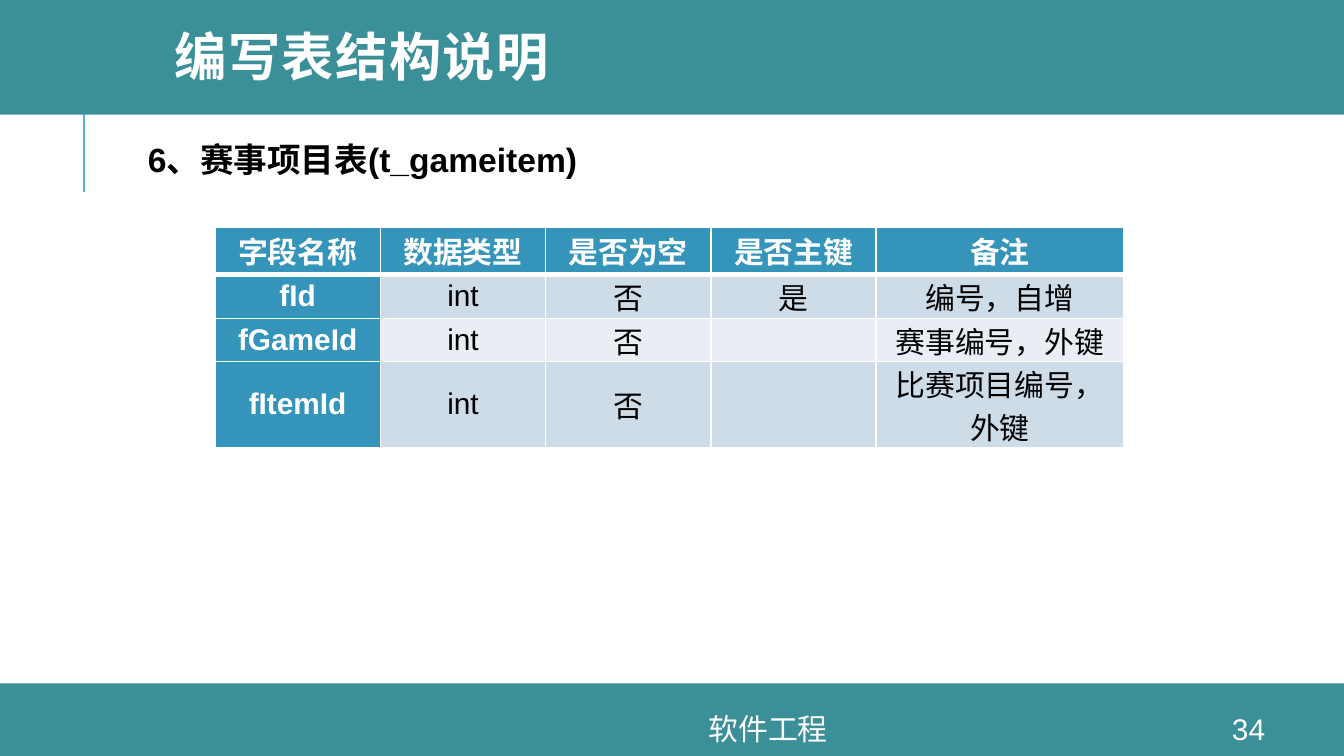
from dataclasses import dataclass

import pptx
import pptx.dml.color
import pptx.enum.shapes
import pptx.enum.text
import pptx.oxml
import pptx.oxml.ns
import pptx.util

RGBColor = pptx.dml.color.RGBColor
Align = pptx.enum.text.PP_ALIGN
Middle = pptx.enum.text.MSO_ANCHOR.MIDDLE

WHITE = RGBColor(0xFF, 0xFF, 0xFF)
BLACK = RGBColor(0x00, 0x00, 0x00)
TEAL = RGBColor(0x3A, 0x8F, 0x98)
LIGHT_TEAL = RGBColor(0x58, 0xB6, 0xC0)
HEADER_BLUE = RGBColor(0x34, 0x94, 0xBA)
BAND_COLORS = (RGBColor(0xCE, 0xDC, 0xE7), RGBColor(0xE8, 0xEE, 0xF3))

FONT = "Arial"
SLIDE_COLUMNS = 100
SLIDE_WIDTH = pptx.util.Inches(10)
SLIDE_HEIGHT = SLIDE_WIDTH * 9 // 16

COLUMN_WIDTHS = (12.3, 12.3, 12.3, 12.3, 18.4)
ROW_HEIGHTS = (3.5, 3.3, 3, 3.3)
FIELDS = (
    ("字段名称", "数据类型", "是否为空", "是否主键", "备注"),
    ("fId", "int", "否", "是", "编号，自增"),
    ("fGameId", "int", "否", "", "赛事编号，外键"),
    ("fItemId", "int", "否", "", "比赛项目编号，外键"),
)


def grid(units: float) -> int:
    """Length of square grid units, a hundred of which span the slide."""
    return round(units * SLIDE_WIDTH / SLIDE_COLUMNS)


@dataclass(frozen=True)
class Area:
    left: float
    top: float
    width: float
    height: float

    def lengths(self) -> tuple[int, ...]:
        return tuple(map(grid, (self.left, self.top, self.width, self.height)))


@dataclass(frozen=True)
class Label:
    text: str
    area: Area
    size: float
    color: RGBColor = WHITE
    bold: bool = False
    align: Align = Align.LEFT
    wrap: bool = True
    margins: tuple[float, float] = (1, 0.5)
    line_spacing: float = 1
    letter_spacing: float = 0


BANDS = (Area(0, 50.85, 100, 5.4), Area(0, -0.3, 100, 8.83))
LABELS = (
    Label("6、赛事项目表(t_gameitem)", Area(10.25, 9.95, 35.2, 3.8), 18, BLACK,
          bold=True, wrap=False, margins=(0.75, 0.38)),
    Label("编写表结构说明", Area(12, 0, 84.9, 9.1), 28, bold=True,
          line_spacing=0.8, letter_spacing=0.8),
    Label("34", Area(88.9, 53.1, 8, 2.3), 16, align=Align.CENTER),
    Label("软件工程", Area(26.1, 53.1, 62.1, 2.3), 16, align=Align.CENTER),
)


def style_text(para, size: float, color: RGBColor, bold: bool, align: Align) -> None:
    para.alignment = align
    for span in para.runs:
        span.font.name = FONT
        span.font.size = pptx.util.Pt(size)
        span.font.bold = bold
        span.font.color.rgb = color


def add_rule(slide) -> None:
    rule = slide.shapes.add_connector(
        pptx.enum.shapes.MSO_CONNECTOR.STRAIGHT,
        grid(6.25), grid(14.3), grid(6.25), grid(6.8))
    rule.line.color.rgb = LIGHT_TEAL
    rule.line.width = pptx.util.Pt(1.5)
    properties = rule.element.find(pptx.oxml.ns.qn("p:spPr"))
    properties.append(pptx.oxml.parse_xml(
        f"<a:effectLst {pptx.oxml.ns.nsdecls('a')}/>"))


def add_band(slide, area: Area) -> None:
    band = slide.shapes.add_shape(
        pptx.enum.shapes.MSO_SHAPE.RECTANGLE, *area.lengths())
    band.shadow.inherit = False
    band.fill.solid()
    band.fill.fore_color.rgb = TEAL
    band.line.fill.background()


def add_label(slide, label: Label) -> None:
    box = slide.shapes.add_textbox(*label.area.lengths())
    frame = box.text_frame
    frame.word_wrap = label.wrap
    frame.vertical_anchor = Middle
    frame.margin_left = frame.margin_right = grid(label.margins[0])
    frame.margin_top = frame.margin_bottom = grid(label.margins[1])
    if not label.wrap:
        frame.auto_size = pptx.enum.text.MSO_AUTO_SIZE.SHAPE_TO_FIT_TEXT
    frame.text = label.text
    para = frame.paragraphs[0]
    para.line_spacing = label.line_spacing
    style_text(para, label.size, label.color, label.bold, label.align)
    if label.letter_spacing:
        for span in para.runs:
            span.font._element.set("spc", str(round(label.letter_spacing * 100)))


def set_borders(cell, top: float, bottom: float) -> None:
    """Draw white borders; top and bottom are widths in points."""
    properties = cell._tc.get_or_add_tcPr()
    for side, points in (("L", 1), ("R", 1), ("T", top), ("B", bottom)):
        properties.append(pptx.oxml.parse_xml(
            f"<a:ln{side} {pptx.oxml.ns.nsdecls('a')} w=\"{pptx.util.Pt(points)}\">"
            f"<a:solidFill><a:srgbClr val=\"{WHITE}\"/></a:solidFill></a:ln{side}>"))


def fill_cell(cell, text: str, row: int, column: int) -> None:
    heading = row == 0 or column == 0
    set_borders(cell, top=3 if row == 1 else 1, bottom=3 if row == 0 else 1)
    cell.fill.solid()
    cell.fill.fore_color.rgb = HEADER_BLUE if heading else BAND_COLORS[(row - 1) % 2]
    cell.vertical_anchor = Middle
    cell.margin_left = cell.margin_right = grid(0.6)
    cell.margin_top = cell.margin_bottom = 0
    if text:
        cell.text_frame.text = text
        style_text(cell.text_frame.paragraphs[0], 16,
                   WHITE if heading else BLACK, heading, Align.CENTER)


def add_field_table(slide) -> None:
    area = Area(16, 16.9, sum(COLUMN_WIDTHS), 15.2)
    table = slide.shapes.add_table(
        len(FIELDS), len(COLUMN_WIDTHS), *area.lengths()).table
    for column, width in zip(table.columns, COLUMN_WIDTHS):
        column.width = grid(width)
    for row, height in zip(table.rows, ROW_HEIGHTS):
        row.height = grid(height)
    for row, texts in enumerate(FIELDS):
        for column, text in enumerate(texts):
            fill_cell(table.cell(row, column), text, row, column)


def main() -> None:
    deck = pptx.Presentation()
    deck.slide_width, deck.slide_height = SLIDE_WIDTH, SLIDE_HEIGHT
    slide = deck.slides.add_slide(deck.slide_layouts[6])
    add_rule(slide)
    for band in BANDS:
        add_band(slide, band)
    add_field_table(slide)
    for label in LABELS:
        add_label(slide, label)
    deck.save("out.pptx")


if __name__ == "__main__":
    main()
